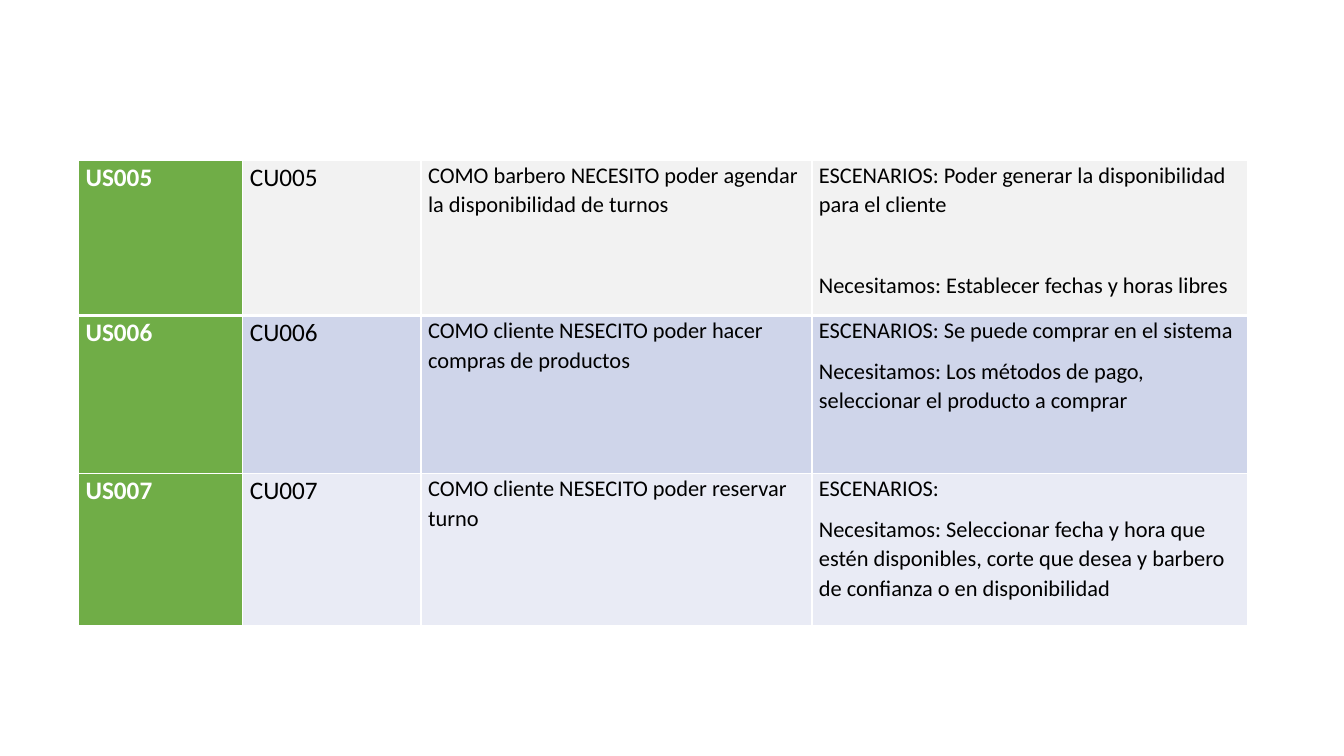
from lxml.etree import SubElement
from pptx import Presentation
from pptx.dml.color import RGBColor
from pptx.oxml.ns import qn
from pptx.util import Inches, Pt

COLORS = {"code": "70AD47", "white": "FFFFFF", "text": "000000"}
ROW_FILLS = ["F2F2F2", "CFD5EA", "E9EBF5"]
COLUMN_WIDTHS = [1.63, 1.77, 3.88, 4.32]
ROW_HEIGHTS = [1.54, 1.57, 1.51]
SECTION_GAP = 29  # extra points above the needs of the first story

STORIES = [
    ("US005", "CU005",
     "COMO barbero NECESITO poder agendar la disponibilidad de turnos",
     "ESCENARIOS: Poder generar la disponibilidad para el cliente\n"
     "Necesitamos: Establecer fechas y horas libres"),
    ("US006", "CU006",
     "COMO cliente NESECITO poder hacer compras de productos",
     "ESCENARIOS: Se puede comprar en el sistema\n"
     "Necesitamos: Los métodos de pago, seleccionar el producto a comprar"),
    ("US007", "CU007",
     "COMO cliente NESECITO poder reservar turno",
     "ESCENARIOS:\n"
     "Necesitamos: Seleccionar fecha y hora que estén disponibles, "
     "corte que desea y barbero de confianza o en disponibilidad"),
]


def set_borders(cell, top, bottom):
    """Draw white borders; top and bottom are widths in points."""
    properties = cell._tc.get_or_add_tcPr()
    sides = [("a:lnL", 1), ("a:lnR", 1), ("a:lnT", top), ("a:lnB", bottom)]
    for position, (tag, width) in enumerate(sides):
        line = SubElement(properties, qn(tag), w=str(Pt(width)))
        fill = SubElement(line, qn("a:solidFill"))
        SubElement(fill, qn("a:srgbClr"), val=COLORS["white"])
        properties.insert(position, line)


def fill_cell(cell, text, size, fill, color, bold):
    cell.margin_left = cell.margin_right = Inches(0.07)
    cell.margin_top = cell.margin_bottom = 0
    cell.fill.solid()
    cell.fill.fore_color.rgb = RGBColor.from_string(fill)
    cell.text_frame.text = text
    for para in cell.text_frame.paragraphs:
        para.line_spacing = 1.07
        para.space_after = Pt(8)
        for span in para.runs:
            span.font.name = "Calibri"
            span.font.size = Pt(size)
            span.font.bold = bold
            span.font.color.rgb = RGBColor.from_string(color)


def add_story_table(page, left, top, width, height):
    frame = page.shapes.add_table(
        len(STORIES), len(COLUMN_WIDTHS),
        Inches(left), Inches(top), Inches(width), Inches(height))
    table = frame.table
    table.first_col = True
    for column, share in zip(table.columns, COLUMN_WIDTHS):
        column.width = Inches(width * share / sum(COLUMN_WIDTHS))
    for row, share in zip(table.rows, ROW_HEIGHTS):
        row.height = Inches(height * share / sum(ROW_HEIGHTS))

    for row, story in enumerate(STORIES):
        for column, text in enumerate(story):
            is_code = column == 0
            cell = table.cell(row, column)
            fill_cell(cell, text,
                      size=18 if column < 2 else 16,
                      fill=COLORS["code"] if is_code else ROW_FILLS[row],
                      color=COLORS["white" if is_code else "text"],
                      bold=is_code)
            set_borders(cell, top=3 if row == 1 else 1, bottom=3 if row == 0 else 1)
    needs = table.cell(0, 3).text_frame.paragraphs[1]
    needs.space_before = Pt(SECTION_GAP)


def main():
    deck = Presentation()
    deck.slide_width, deck.slide_height = Inches(13.33), Inches(7.5)
    page = deck.slides.add_slide(deck.slide_layouts[6])
    add_story_table(page, 0.78, 1.59, 11.59, 4.62)
    deck.save("out.pptx")


if __name__ == "__main__":
    main()
